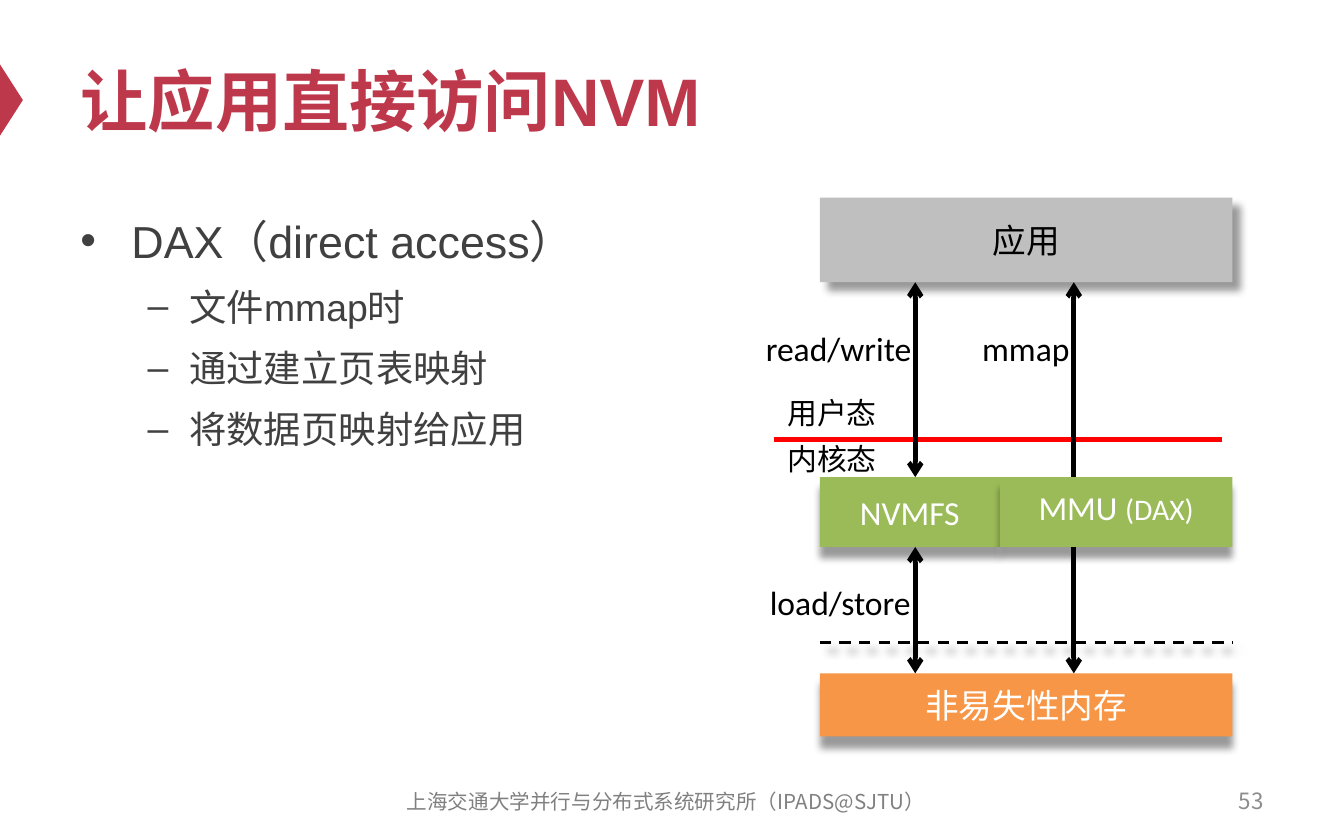
from lxml.etree import SubElement
from pptx import Presentation
from pptx.dml.color import RGBColor
from pptx.enum.dml import MSO_LINE
from pptx.enum.shapes import MSO_CONNECTOR, MSO_SHAPE
from pptx.enum.text import MSO_ANCHOR, PP_ALIGN
from pptx.oxml.ns import qn
from pptx.util import Inches, Pt

RED, BLACK, WHITE = "BE384B", "000000", "FFFFFF"
GREY, GREEN, ORANGE = "BFBFBF", "9BBB59", "F79646"
CJK = "Noto Sans CJK SC"


def color(value):
    return RGBColor.from_string(value)


def add_span(para, text, size=18, font="Calibri", ink=BLACK, bold=False):
    span = para.add_run()
    span.text = text
    span.font.name = font
    span.font.size = Pt(size)
    span.font.bold = bold
    span.font.color.rgb = color(ink)
    SubElement(span.font._element, qn("a:ea"), typeface=CJK)


def write(shape, text, align=PP_ALIGN.LEFT, anchor=MSO_ANCHOR.MIDDLE, wrap=True, **style):
    frame = shape.text_frame
    frame.word_wrap = wrap
    frame.vertical_anchor = anchor
    para = frame.paragraphs[0]
    para.alignment = align
    add_span(para, text, **style)
    return para


def add_text(page, box, text, **style):
    shape = page.shapes.add_textbox(*map(Inches, box))
    write(shape, text, **style)


def set_effects(shape, shadow_angle=None):
    """Clear the theme's effects, or cast a soft shadow at the given angle."""
    effects = SubElement(shape._element.spPr, qn("a:effectLst"))
    if shadow_angle is not None:
        shadow = SubElement(effects, qn("a:outerShdw"), blurRad=str(Pt(4)), dist=str(Pt(6)),
                            dir=str(shadow_angle * 60000), algn="tl", rotWithShape="0")
        ink = SubElement(shadow, qn("a:srgbClr"), val=BLACK)
        SubElement(ink, qn("a:alpha"), val="40000")


def add_block(page, box, text, fill, ink=WHITE, shadow_angle=90):
    block = page.shapes.add_shape(MSO_SHAPE.RECTANGLE, *map(Inches, box))
    block.fill.solid()
    block.fill.fore_color.rgb = color(fill)
    block.line.fill.background()
    set_effects(block, shadow_angle)
    return write(block, text, align=PP_ALIGN.CENTER, ink=ink)


def add_line(page, start, end, ink=BLACK, width=2.5, dash=None, arrows=False, shadow_angle=None):
    line = page.shapes.add_connector(MSO_CONNECTOR.STRAIGHT, *map(Inches, start + end))
    line.line.color.rgb = color(ink)
    line.line.width = Pt(width)
    if dash:
        line.line.dash_style = dash
    if arrows:
        for tag in ("a:headEnd", "a:tailEnd"):
            SubElement(line.line._get_or_add_ln(), qn(tag), type="arrow")
    set_effects(line, shadow_angle)


def add_header(page, left, top, width, height):
    title = page.shapes.title
    title.left, title.top, title.width, title.height = map(Inches, (left, top, width, height))
    write(title, "让应用直接访问NVM", size=36, font="Arial", ink=RED, bold=True)

    marker = page.shapes.add_shape(MSO_SHAPE.ISOSCELES_TRIANGLE, Inches(left - 0.68),
                                   Inches(top + 0.41), Inches(0.53), Inches(0.17))
    marker.rotation = 90
    marker.fill.solid()
    marker.fill.fore_color.rgb = color(RED)
    marker.line.fill.background()
    marker.shadow.inherit = False


def add_footer(page, left, top, width, height):
    add_text(page, (left + 4.38, top, 2.33, height), "53", align=PP_ALIGN.RIGHT,
             size=12, font=CJK, ink="8C8C8C")
    add_text(page, (left, top + 0.01, width, height), "上海交通大学并行与分布式系统研究所（IPADS@SJTU）",
             align=PP_ALIGN.CENTER, size=11, font=CJK, ink="808080")


def add_bullets(page, box, items):
    frame = page.shapes.add_textbox(*map(Inches, box)).text_frame
    frame.word_wrap = True
    formats = [("•", 0.38, 0.38, 24), ("–", 0.81, 0.31, 20)]
    for index, (level, text) in enumerate(items):
        mark, margin, hanging, size = formats[level]
        para = frame.add_paragraph() if index else frame.paragraphs[0]
        para.level = level
        para.line_spacing = 1.2
        para.space_before = Pt(4 if index else 0)
        props = para._p.get_or_add_pPr()
        props.set("marL", str(Inches(margin)))
        props.set("indent", str(-Inches(hanging)))
        SubElement(props, qn("a:buFont"), typeface="Arial")
        SubElement(props, qn("a:buChar"), char=mark)
        add_span(para, text, size=size, font="Arial", ink="404040")


def add_access_diagram(page, left, top, width, height):
    """Application, kernel and memory layers with the two access paths."""
    app_bottom = top + 0.63
    kernel_top, kernel_bottom = top + 2.08, top + 2.6
    memory_top = top + height - 0.47
    border, bus = top + 1.8, top + 3.31
    file_x, mmap_x = left + 0.71, left + 1.89
    split = left + 1.34
    right = left + width

    def add_label(x, y, label_width, text, size=18):
        add_text(page, (x, y, label_width, 0.4), text, size=size, wrap=False, anchor=MSO_ANCHOR.TOP)

    add_line(page, (left - 0.34, border), (right - 0.08, border), ink="FF0000")
    add_block(page, (left, top, width, 0.63), "应用", GREY, ink=BLACK, shadow_angle=45)
    add_label(left - 0.34, border - 0.38, 0.88, "用户态", size=16)
    add_label(left - 0.34, border - 0.04, 0.88, "内核态", size=16)
    add_block(page, (left, memory_top, width, 0.47), "非易失性内存", ORANGE)
    add_line(page, (left, bus), (right, bus), width=1.5, dash=MSO_LINE.DASH, shadow_angle=45)

    kernel_height = kernel_bottom - kernel_top
    add_block(page, (left, kernel_top, split - left, kernel_height), "NVMFS", GREEN)
    add_line(page, (mmap_x, app_bottom), (mmap_x, memory_top), arrows=True)
    mmu = add_block(page, (split, kernel_top, right - split, kernel_height), "MMU ", GREEN)
    mmu.line_spacing = 0.7
    add_span(mmu, "(DAX)", size=16, ink=WHITE)

    for start, end in ((kernel_bottom, memory_top), (app_bottom, kernel_top)):
        add_line(page, (file_x, start), (file_x, end), arrows=True)
    add_label(left - 0.47, kernel_bottom + 0.21, 1.26, "load/store")
    add_label(left - 0.5, app_bottom + 0.29, 1.3, "read/write")
    add_label(left + 1.11, app_bottom + 0.29, 0.86, "mmap")


def main():
    deck = Presentation()
    deck.slide_width, deck.slide_height = Inches(10), Inches(6.25)
    page = deck.slides.add_slide(deck.slide_layouts[5])
    add_header(page, 0.5, 0.25, 9, 0.98)
    add_footer(page, 2.79, 5.79, 4.33, 0.33)
    add_access_diagram(page, 6.1, 1.47, 3.07, 4.01)
    add_bullets(page, (0.5, 1.46, 9, 4.12), [
        (0, "DAX（direct access）"),
        (1, "文件mmap时"),
        (1, "通过建立页表映射"),
        (1, "将数据页映射给应用"),
    ])
    deck.save("out.pptx")


if __name__ == "__main__":
    main()
